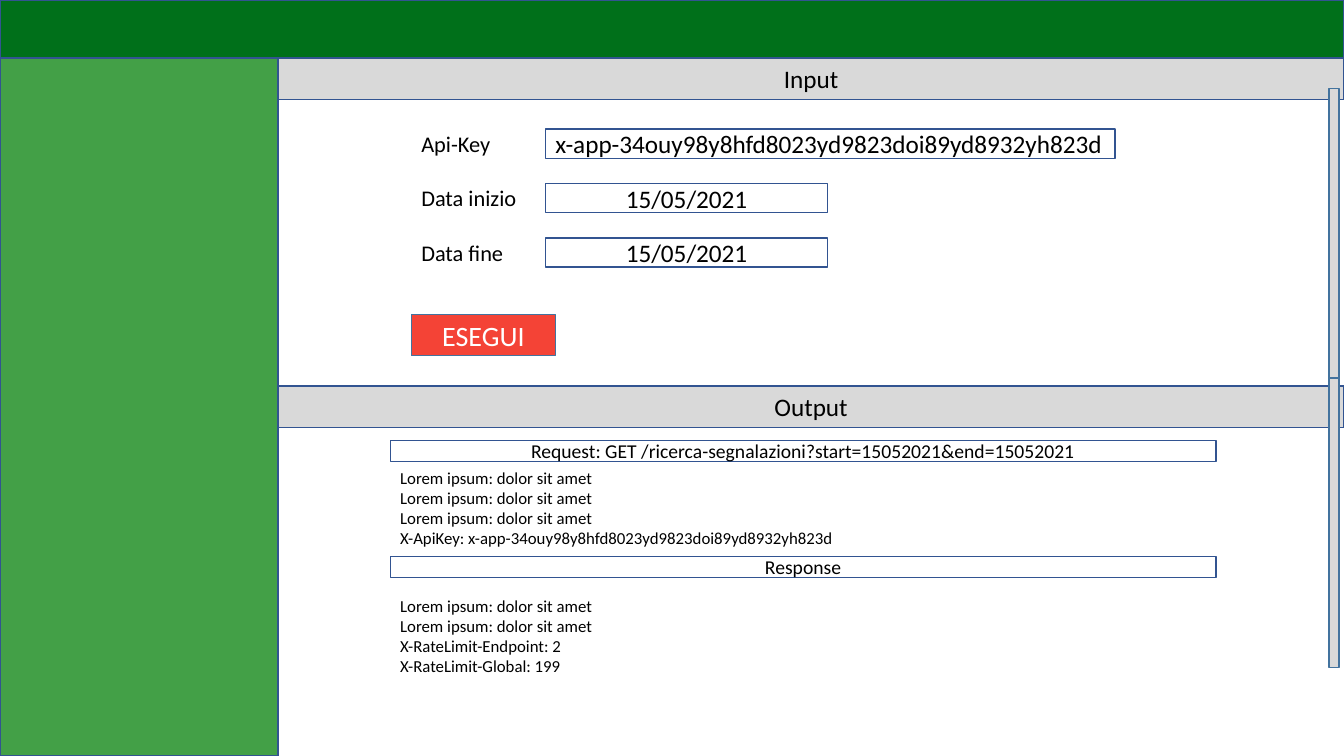
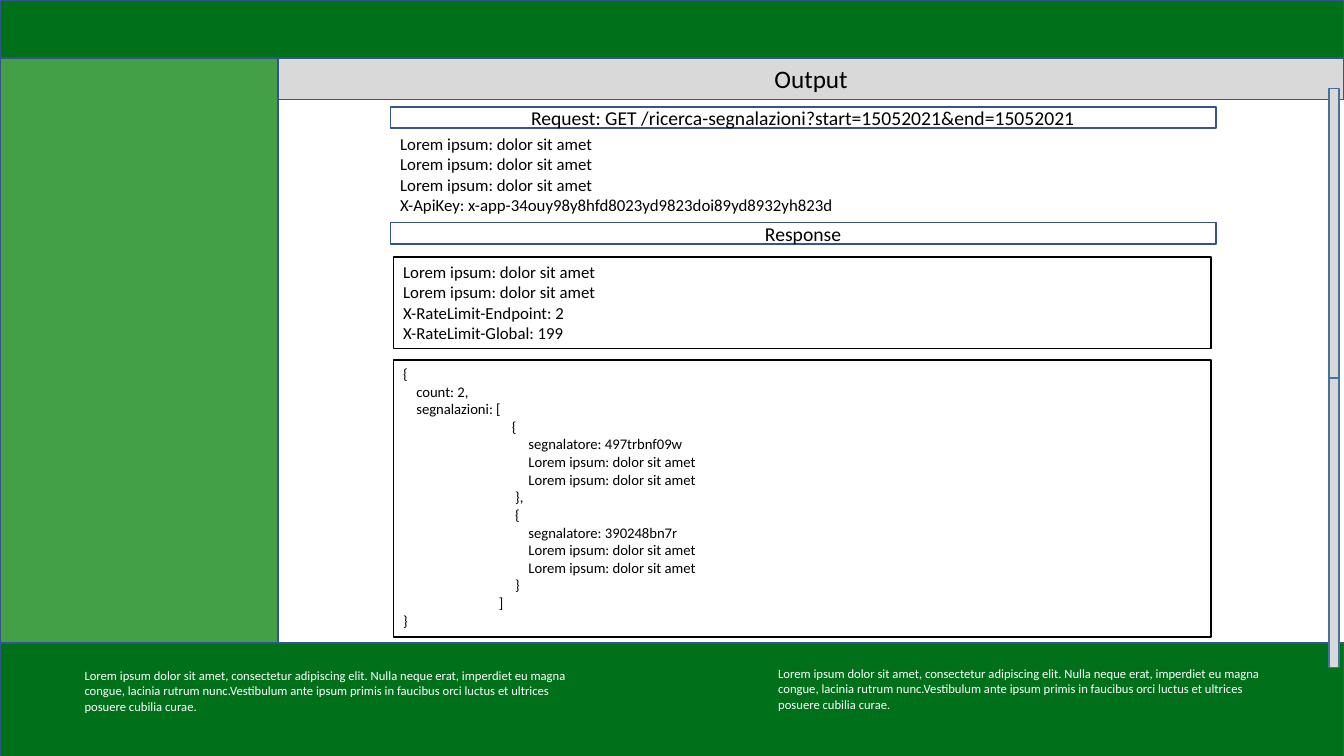
from dataclasses import dataclass

from pptx import Presentation
from pptx.dml.color import RGBColor
from pptx.enum.shapes import MSO_SHAPE
from pptx.enum.text import MSO_ANCHOR, MSO_AUTO_SIZE, PP_ALIGN
from pptx.util import Inches, Pt

RECTANGLE = MSO_SHAPE.RECTANGLE
LEFT, CENTER = PP_ALIGN.LEFT, PP_ALIGN.CENTER
TOP, MIDDLE = MSO_ANCHOR.TOP, MSO_ANCHOR.MIDDLE
FIXED_SIZE = MSO_AUTO_SIZE.NONE

DARK_GREEN = RGBColor(0x00, 0x70, 0x1A)
GREEN = RGBColor(0x43, 0xA0, 0x47)
RED = RGBColor(0xF4, 0x43, 0x36)
GREY = RGBColor(0xD9, 0xD9, 0xD9)
WHITE = RGBColor(0xFF, 0xFF, 0xFF)
BLACK = RGBColor(0x00, 0x00, 0x00)
NAVY = RGBColor(0x32, 0x54, 0x91)
STEEL = RGBColor(0x43, 0x73, 0x9E)

FONT = "Calibri"
COLUMNS, ROWS = 133.3, 75
CELL = Inches(0.1)
TITLE_ONLY = 5


@dataclass
class Box:
    x: float
    y: float
    w: float
    h: float

    def inner(self, x, y, w, h):
        return Box(self.x + x, self.y + y, w, h)

    def emu(self):
        return [round(cells * CELL) for cells in (self.x, self.y, self.w, self.h)]


PAGE = Box(0, 0, COLUMNS, ROWS)
HEADER = PAGE.inner(0, 0, COLUMNS, 5.7)
SIDEBAR = PAGE.inner(0, 5.8, 27.6, 69.2)
CONTENT = PAGE.inner(27.6, 5.75, 105.7, 69.25)
FOOTER = PAGE.inner(0, 63.8, COLUMNS, 11.4)
SCROLLBAR = PAGE.inner(131.8, 8.8, 1, 57.4)

API_KEY = "x-app-34ouy98y8hfd8023yd9823doi89yd8932yh823d"
LOREM = "Lorem ipsum: dolor sit amet"
REQUEST = "Request: GET /ricerca-segnalazioni?start=15052021&end=15052021"
REQUEST_HEADERS = [LOREM] * 3 + [f"X-ApiKey: {API_KEY}"]
RESPONSE_HEADERS = [LOREM] * 2 + ["X-RateLimit-Endpoint: 2", "X-RateLimit-Global: 199"]
FIELDS = [
    ("Api-Key", API_KEY, 56.5, LEFT),
    ("Data inizio", "15/05/2021", 28, CENTER),
    ("Data fine", "15/05/2021", 28, CENTER),
]
JSON_LINES = [
    (0, "{"),
    (4, "count: 2,"),
    (4, "segnalazioni: ["),
    (33, "{"),
    (38, "segnalatore: 497trbnf09w"),
    (38, LOREM),
    (38, LOREM),
    (34, "},"),
    (34, "{"),
    (38, "segnalatore: 390248bn7r"),
    (38, LOREM),
    (38, LOREM),
    (34, "}"),
    (29, "]"),
    (0, "}"),
]
FOOTNOTE = (
    "Lorem ipsum dolor sit amet, consectetur adipiscing elit. Nulla neque erat, "
    "imperdiet eu magna congue, lacinia rutrum nunc.Vestibulum ante ipsum primis in "
    "faucibus orci luctus et ultrices posuere cubilia curae."
)


def fill_text(shape, lines, size, color=BLACK, align=LEFT, anchor=TOP):
    frame = shape.text_frame
    frame.text = "\n".join(lines)
    frame.word_wrap = True
    frame.auto_size = FIXED_SIZE
    frame.vertical_anchor = anchor
    for paragraph in frame.paragraphs:
        paragraph.alignment = align
        for run in paragraph.runs:
            run.font.name = FONT
            run.font.size = Pt(size)
            run.font.color.rgb = color


def paint(shape, fill, line):
    if fill is None:
        shape.fill.background()
    else:
        shape.fill.solid()
        shape.fill.fore_color.rgb = fill
    shape.line.color.rgb = line
    shape.line.width = Pt(1)


def add_panel(slide, box, fill=WHITE, line=NAVY):
    panel = slide.shapes.add_shape(RECTANGLE, *box.emu())
    panel.shadow.inherit = False
    paint(panel, fill, line)
    return panel


def add_label(slide, box, lines, size, color=BLACK):
    fill_text(slide.shapes.add_textbox(*box.emu()), lines, size, color)


def add_bar(slide, box, text, size, fill=WHITE, line=NAVY, color=BLACK, align=CENTER):
    fill_text(add_panel(slide, box, fill, line), [text], size, color, align, MIDDLE)


def add_frame(slide, box, lines, size):
    fill_text(add_panel(slide, box, None, BLACK), lines, size)


def set_title(slide, text):
    title = slide.shapes.title
    title.left, title.top, title.width, title.height = CONTENT.inner(0, 0, CONTENT.w, 4.1).emu()
    paint(title, GREY, NAVY)
    fill_text(title, [text], 18, align=CENTER, anchor=MIDDLE)


def add_page(deck, title, sidebar_height):
    slide = deck.slides.add_slide(deck.slide_layouts[TITLE_ONLY])
    set_title(slide, title)
    add_panel(slide, HEADER, DARK_GREEN)
    add_panel(slide, SIDEBAR.inner(0, 0, SIDEBAR.w, sidebar_height), GREEN)
    return slide


def add_scrollbar(slide, box):
    half = box.h / 2
    for index in range(2):
        add_panel(slide, box.inner(0, index * half, box.w, half), GREY, STEEL)


def add_form(slide, box):
    for row, (label, value, width, align) in enumerate(FIELDS):
        line = box.inner(0, row * 5.4, box.w, 3.7)
        add_label(slide, line.inner(0, 0, 11.5, 3.7), [label], 16)
        add_bar(slide, line.inner(13.3, 0.4, width, 2.9), value, 18, align=align)
    add_bar(slide, box.inner(0, 18.8, 14.3, 4.1), "ESEGUI", 20, RED, STEEL, WHITE)


def add_exchange(slide, box):
    add_bar(slide, box.inner(0, 0, box.w, 2.1), REQUEST, 14)
    add_label(slide, box.inner(0, 2.2, 81.1, 9.1), REQUEST_HEADERS, 12)
    add_bar(slide, box.inner(0, 11.5, box.w, 2.1), "Response", 14)


def add_footer(slide, box):
    add_panel(slide, box, DARK_GREEN)
    for x, y in ((7.4, 2), (76.2, 1.8)):
        add_label(slide, box.inner(x, y, 50.3, 5.6), [FOOTNOTE], 9, WHITE)


def build_input_slide(deck):
    slide = add_page(deck, "Input", SIDEBAR.h)
    add_form(slide, CONTENT.inner(13.2, 6.65, 70, 23))
    add_bar(slide, CONTENT.inner(0, 32.55, CONTENT.w, 4.1), "Output", 18, GREY)
    exchange = CONTENT.inner(11.1, 37.95, 81.9, 24)
    add_exchange(slide, exchange)
    add_label(slide, exchange.inner(0, 14.9, 81.1, 9.1), RESPONSE_HEADERS, 12)
    add_scrollbar(slide, SCROLLBAR)


def build_output_slide(deck):
    slide = add_page(deck, "Output", FOOTER.y - SIDEBAR.y)
    exchange = CONTENT.inner(11.1, 4.85, 81.9, 52.6)
    add_exchange(slide, exchange)
    add_frame(slide, exchange.inner(0.3, 14.9, 81.1, 9.1), RESPONSE_HEADERS, 12)
    json_text = [" " * indent + text for indent, text in JSON_LINES]
    add_frame(slide, exchange.inner(0.3, 25.1, 81.1, 27.5), json_text, 10.5)
    add_footer(slide, FOOTER)
    add_scrollbar(slide, SCROLLBAR)


def main():
    deck = Presentation()
    deck.slide_width = round(COLUMNS * CELL)
    deck.slide_height = ROWS * CELL
    build_input_slide(deck)
    build_output_slide(deck)
    deck.save("out.pptx")


if __name__ == "__main__":
    main()
